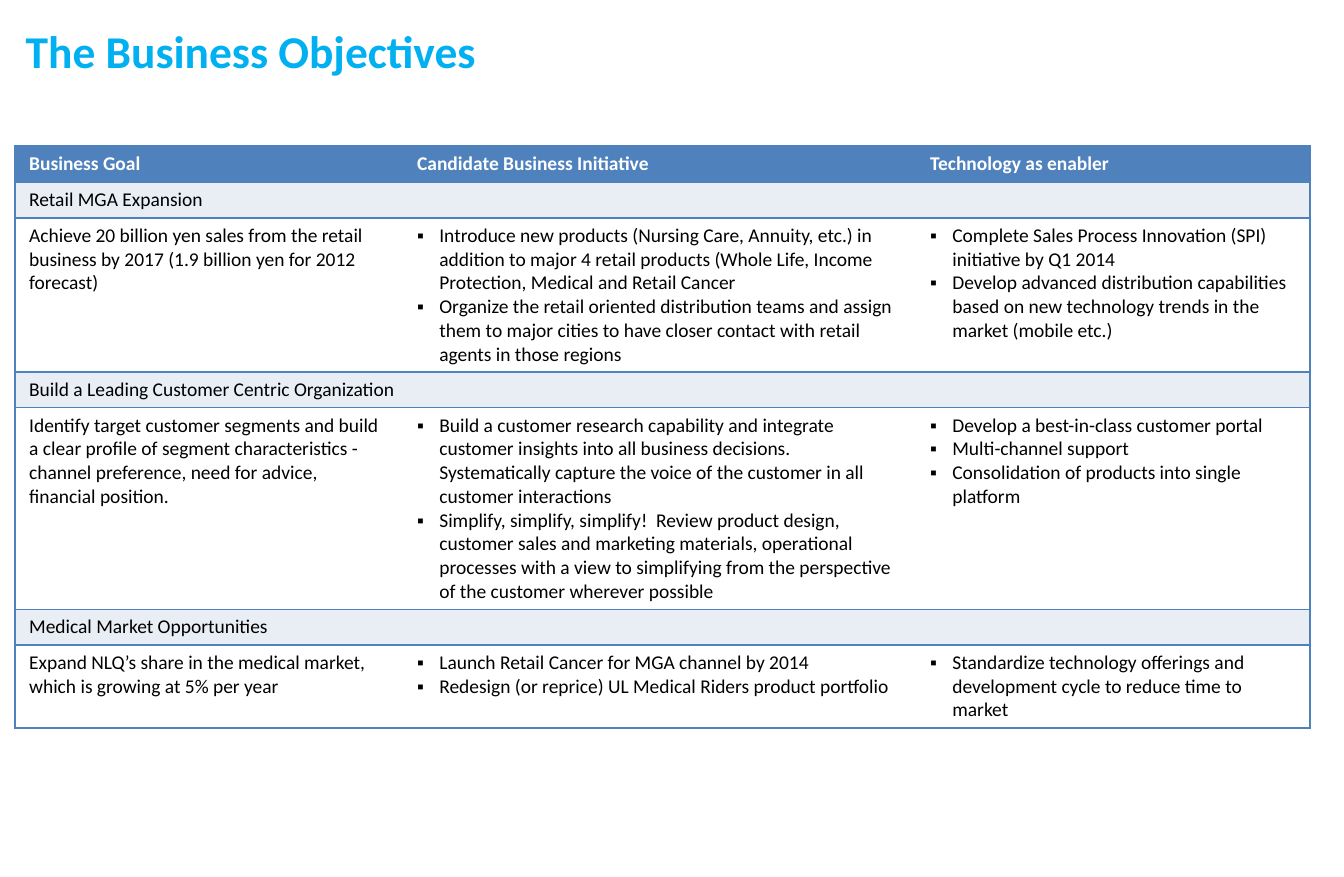
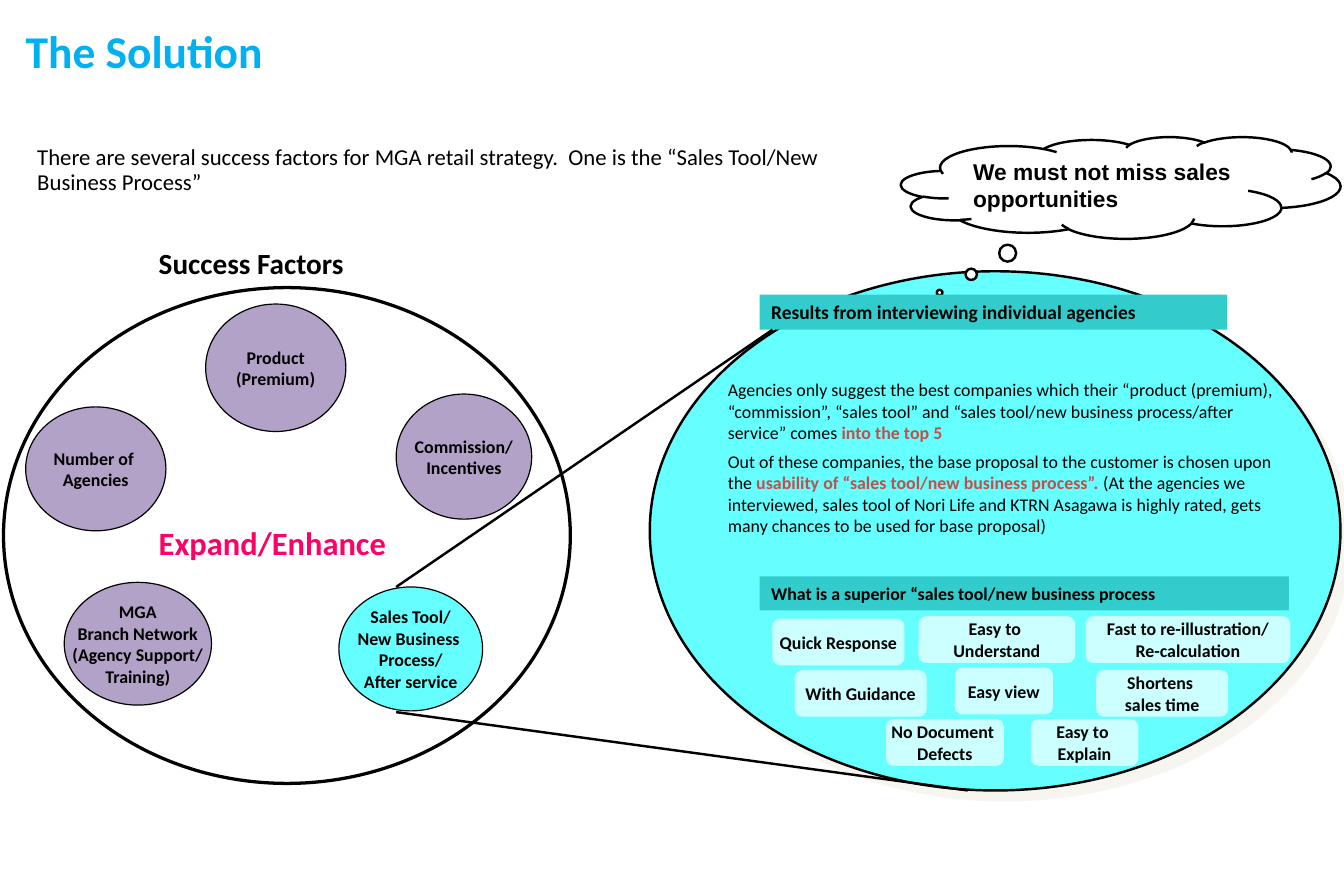
from lxml import etree
from pptx import Presentation
from pptx.dml.color import RGBColor
from pptx.enum.shapes import MSO_CONNECTOR, MSO_SHAPE
from pptx.enum.text import MSO_ANCHOR, MSO_AUTO_SIZE, PP_ALIGN
from pptx.oxml.ns import qn
from pptx.util import Inches, Pt

TOP, MIDDLE = MSO_ANCHOR.TOP, MSO_ANCHOR.MIDDLE
LEFT, CENTER = PP_ALIGN.LEFT, PP_ALIGN.CENTER
ELLIPSE, RECTANGLE = MSO_SHAPE.OVAL, MSO_SHAPE.RECTANGLE
ROUNDED, CLOUD = MSO_SHAPE.ROUNDED_RECTANGLE, MSO_SHAPE.CLOUD_CALLOUT
STRAIGHT = MSO_CONNECTOR.STRAIGHT
NO_AUTOFIT = MSO_AUTO_SIZE.NONE

COLORS = {
    "title": "00B0F0", "black": "000000", "white": "FFFFFF",
    "header": "4F81BD", "section": "E9EDF4", "cyan": "66FFFF",
    "purple": "B3A2C7", "teal": "33CCCC", "pale": "CCFFFF",
    "pink": "FF0066", "red": "C0504D", "shadow": "EEECE1",
}
NO_STYLE_TABLE = "{2D5ABB26-0587-4C30-8999-92F81FD0307C}"
TITLE_BOX = (0.12, -0.08, 10.04, 1.1)
LABEL = {"size": 11, "bold": True, "align": CENTER, "anchor": MIDDLE, "wrap": False}
BANNER = {"bold": True, "anchor": MIDDLE}


def rgb(color):
    return RGBColor.from_string(COLORS[color])


def box_inches(box):
    return [Inches(value) for value in box]


def write_text(frame, paragraphs, size=11, bold=False, color="black", name="Calibri",
               align=LEFT, anchor=TOP, wrap=True, spacing=None, gap=0):
    for attribute, value in {"auto_size": NO_AUTOFIT, "word_wrap": wrap,
                             "vertical_anchor": anchor}.items():
        setattr(frame, attribute, value)
    fill_paragraphs(frame, paragraphs, size, bold, color, name, align, spacing, gap)


def fill_paragraphs(frame, paragraphs, size=12, bold=False, color="black", name="Calibri",
                    align=LEFT, spacing=None, gap=0, bullet=False):
    for index, content in enumerate(paragraphs):
        paragraph = frame.add_paragraph() if index else frame.paragraphs[0]
        layout = {"alignment": align, "line_spacing": spacing,
                  "space_before": Pt(gap if index else 0)}
        for attribute, value in layout.items():
            setattr(paragraph, attribute, value)
        if bullet:
            add_bullet(paragraph)
        runs = [(content, color, bold)] if isinstance(content, str) else content
        for words, run_color, run_bold in runs:
            run = paragraph.add_run()
            run.text = words
            for attribute, value in {"size": Pt(size), "bold": run_bold, "name": name}.items():
                setattr(run.font, attribute, value)
            run.font.color.rgb = rgb(run_color)


def add_bullet(paragraph):
    properties = paragraph._p.get_or_add_pPr()
    properties.set("marL", str(Inches(0.19)))
    properties.set("indent", str(-Inches(0.19)))
    etree.SubElement(properties, qn("a:buFont")).set("typeface", "Arial")
    etree.SubElement(properties, qn("a:buChar")).set("char", "▪")


def add_title_slide(presentation, title):
    slide = presentation.slides.add_slide(presentation.slide_layouts[5])
    shape = slide.shapes.title
    shape.left, shape.top, shape.width, shape.height = box_inches(TITLE_BOX)
    write_text(shape.text_frame, [title], size=28, bold=True, color="title",
               anchor=MIDDLE, spacing=Pt(28))
    return slide


def add_text(slide, box, paragraphs, **style):
    shape = slide.shapes.add_textbox(*box_inches(box))
    write_text(shape.text_frame, paragraphs, **style)


def add_figure(slide, kind, box, fill=None, line=0, paragraphs=(), adjustments=(), **style):
    shape = slide.shapes.add_shape(kind, *box_inches(box))
    shape.shadow.inherit = False
    if fill:
        shape.fill.solid()
        shape.fill.fore_color.rgb = rgb(fill)
    else:
        shape.fill.background()
    if line:
        shape.line.color.rgb = rgb("black")
        shape.line.width = Pt(line)
    else:
        shape.line.fill.background()
    for index, value in enumerate(adjustments):
        shape.adjustments[index] = value
    write_text(shape.text_frame, paragraphs, **style)
    return shape


def add_offset_shadow(shape):
    effects = shape._element.spPr.find(qn("a:effectLst"))
    shadow = etree.SubElement(effects, qn("a:outerShdw"))
    for attribute, value in {"dist": Pt(8.5), "dir": 45 * 60000, "algn": "ctr",
                             "rotWithShape": 0}.items():
        shadow.set(attribute, str(value))
    tint = etree.SubElement(shadow, qn("a:srgbClr"))
    tint.set("val", COLORS["shadow"])
    etree.SubElement(tint, qn("a:alpha")).set("val", "50000")


def add_line(slide, start, end):
    connector = slide.shapes.add_connector(STRAIGHT, *box_inches(start + end))
    connector.line.color.rgb = rgb("black")
    connector.line.width = Pt(1.5)
    etree.SubElement(connector._element.spPr, qn("a:effectLst"))


def format_cell(cell, fill, edges):
    properties = cell._tc.get_or_add_tcPr()
    for edge in "LRTB":
        border = etree.SubElement(properties, qn(f"a:ln{edge}"))
        if edge in edges:
            border.set("w", str(Pt(1)))
            paint = etree.SubElement(border, qn("a:solidFill"))
            etree.SubElement(paint, qn("a:srgbClr")).set("val", COLORS["header"])
        else:
            etree.SubElement(border, qn("a:noFill"))
    cell.fill.solid()
    cell.fill.fore_color.rgb = rgb(fill)
    for side, value in {"left": 0.12, "right": 0.13, "top": 0.05, "bottom": 0.05}.items():
        setattr(cell, f"margin_{side}", Inches(value))
    paragraph_end = etree.SubElement(cell.text_frame.paragraphs[0]._p, qn("a:endParaRPr"))
    paragraph_end.set("sz", "1200")


def add_goal_table(slide, box, headings, goals):
    widths = (3.32, 4.39, 3.37)
    heights = [0.31]
    for goal in goals:
        heights += [0.3, goal["height"]]
    table = slide.shapes.add_table(len(heights), len(widths), *box_inches(box)).table
    table.first_row = table.horz_banding = False
    table._tbl.tblPr.find(qn("a:tableStyleId")).text = NO_STYLE_TABLE
    for column, width in zip(table.columns, widths):
        column.width = Inches(width)
    for row, height in zip(table.rows, heights):
        row.height = Inches(height)

    for row in range(len(heights)):
        fill = "header" if row == 0 else "section" if row % 2 else "white"
        for column, edges in enumerate(("LTB", "TB", "RTB")):
            cell = table.cell(row, column)
            format_cell(cell, fill, edges)
            cell.vertical_anchor = TOP if row else MIDDLE
    for column, heading in enumerate(headings):
        fill_paragraphs(table.cell(0, column).text_frame, [heading], bold=True, color="white")
    for index, goal in enumerate(goals):
        row = 2 * index + 1
        section = table.cell(row, 0)
        section.merge(table.cell(row, 1))
        section.vertical_anchor = MIDDLE
        fill_paragraphs(section.text_frame, [goal["section"]])
        fill_paragraphs(table.cell(row + 1, 0).text_frame, [goal["goal"]])
        for column, key in ((1, "initiatives"), (2, "technology")):
            fill_paragraphs(table.cell(row + 1, column).text_frame, goal[key], bullet=True)


def add_success_factors(slide, box):
    left, top, width, height = box
    add_figure(slide, ELLIPSE, box, line=2)
    factors = [
        (0.19, 1.02, 1.2, 1.06, "purple", ["Number of ", "Agencies"]),
        (0.52, 2.52, 1.26, 1.05, "purple",
         ["MGA", "Branch Network", "(Agency Support/", "Training)"]),
        (1.73, 0.14, 1.2, 1.09, "purple", ["Product", "(Premium)"]),
        (3.36, 0.91, 1.16, 1.07, "purple", ["Commission/", "Incentives"]),
        (2.87, 2.56, 1.23, 1.06, "cyan",
         ["Sales Tool/", "New Business ", "Process/", "After service"]),
    ]
    for x, y, factor_width, factor_height, fill, lines in factors:
        add_figure(slide, ELLIPSE, (left + x, top + y, factor_width, factor_height),
                   fill, 0.75, lines, **LABEL)
    add_text(slide, (left + 1.23, top + 1.96, 2.87, 0.44), ["Expand/Enhance"],
             size=20, bold=True, color="pink")
    add_text(slide, (left + 1.23, top - 0.35, 2.58, 0.35), ["Success Factors"],
             size=18, bold=True, spacing=0.8)


def add_interview_results(slide, box):
    left, top, width, height = box
    add_offset_shadow(add_figure(slide, ELLIPSE, box, "cyan", 1.5))
    findings = [
        [("Agencies only suggest the best companies which their “product (premium), "
          "“commission”, “sales tool” and “sales tool/new business process/after service” "
          "comes ", "black", False),
         ("into the top 5", "red", True)],
        [("Out of these companies, the base proposal to the customer is chosen upon the ",
          "black", False),
         ("usability of “sales tool/new business process”. ", "red", True),
         ("(At the agencies we interviewed, sales tool of Nori Life and KTRN Asagawa is "
          "highly rated, gets many chances to be used for base proposal)", "black", False)],
    ]
    add_text(slide, (left + 0.57, top + 0.87, 4.9, 1.47), findings, gap=4.5)
    add_figure(slide, CLOUD, (left + 2.15, top - 1.15, 3.76, 0.87), "white", 1.5,
               ["We must not miss sales opportunities"], (-0.412, 1.032),
               size=14, bold=True, name="Arial")
    banners = [
        (0.2, 4, 0.3, 12, "Results from interviewing individual agencies"),
        (2.61, 4.53, 0.29, 11, "What is a superior “sales tool/new business process"),
    ]
    for y, banner_width, banner_height, size, words in banners:
        add_figure(slide, RECTANGLE, (left + 0.94, top + y, banner_width, banner_height),
                   "teal", 0, [words], size=size, **BANNER)
    qualities = [
        (1.05, 2.97, 1.13, ["Quick Response"]),
        (2.3, 2.95, 1.34, ["Easy to ", "Understand"]),
        (3.73, 2.95, 1.75, ["Fast to re-illustration/", "Re-calculation"]),
        (1.24, 3.41, 1.13, ["With Guidance"]),
        (2.61, 3.39, 0.84, ["Easy view"]),
        (3.82, 3.41, 1.13, ["Shortens ", "sales time"]),
        (2.02, 3.83, 1.01, ["No Document ", "Defects"]),
        (3.26, 3.83, 0.92, ["Easy to ", "Explain"]),
    ]
    for x, y, quality_width, lines in qualities:
        add_figure(slide, ROUNDED, (left + x, top + y, quality_width, 0.4),
                   "pale", 0, lines, (0.167,), **LABEL)


def build_objectives(presentation):
    slide = add_title_slide(presentation, "The Business Objectives")
    headings = ("Business Goal", "Candidate Business Initiative", "Technology as enabler")
    goals = [
        {"section": "Retail MGA Expansion", "height": 1.3,
         "goal": "Achieve 20 billion yen sales from the retail business by 2017 "
                 "(1.9 billion yen for 2012 forecast)",
         "initiatives": [
             "Introduce new products (Nursing Care, Annuity, etc.) in addition to major 4 "
             "retail products (Whole Life, Income Protection, Medical and Retail Cancer",
             "Organize the retail oriented distribution teams and assign them to major cities "
             "to have closer contact with retail agents in those regions"],
         "technology": [
             "Complete Sales Process Innovation (SPI) initiative by Q1 2014",
             "Develop advanced distribution capabilities based on new technology trends in "
             "the market (mobile etc.)"]},
        {"section": "Build a Leading Customer Centric Organization", "height": 1.7,
         "goal": "Identify target customer segments and build a clear profile of segment "
                 "characteristics - channel preference, need for advice, financial position.",
         "initiatives": [
             "Build a customer research capability and integrate customer insights into all "
             "business decisions.  Systematically capture the voice of the customer in all "
             "customer interactions",
             "Simplify, simplify, simplify!  Review product design, customer sales and "
             "marketing materials, operational processes with a view to simplifying from the "
             "perspective of the customer wherever possible"],
         "technology": ["Develop a best-in-class customer portal", "Multi-channel support",
                        "Consolidation of products into single platform"]},
        {"section": "Medical Market Opportunities", "height": 0.7,
         "goal": "Expand NLQ’s share in the medical market, which is growing at 5% per year",
         "initiatives": ["Launch Retail Cancer for MGA channel by 2014",
                         "Redesign (or reprice) UL Medical Riders product portfolio"],
         "technology": ["Standardize technology offerings and development cycle to reduce "
                        "time to market"]},
    ]
    add_goal_table(slide, (0.13, 1.25, 11.08, 4.91), headings, goals)


def build_solution(presentation):
    slide = add_title_slide(presentation, "The Solution")
    add_text(slide, (0.22, 1.2, 7.52, 0.56),
             ["There are several success factors for MGA retail strategy.  One is the "
              "“Sales Tool/New Business Process”"], size=14, spacing=0.9)
    add_success_factors(slide, (0.03, 2.46, 4.85, 4.24))
    add_interview_results(slide, (5.56, 2.32, 5.91, 4.44))
    add_line(slide, (3.39, 5.02), (6.61, 2.82))
    add_line(slide, (3.39, 6.09), (8.28, 6.76))


presentation = Presentation()
presentation.slide_width, presentation.slide_height = Inches(11.5), Inches(7.5)
build_objectives(presentation)
build_solution(presentation)
presentation.save("out.pptx")
